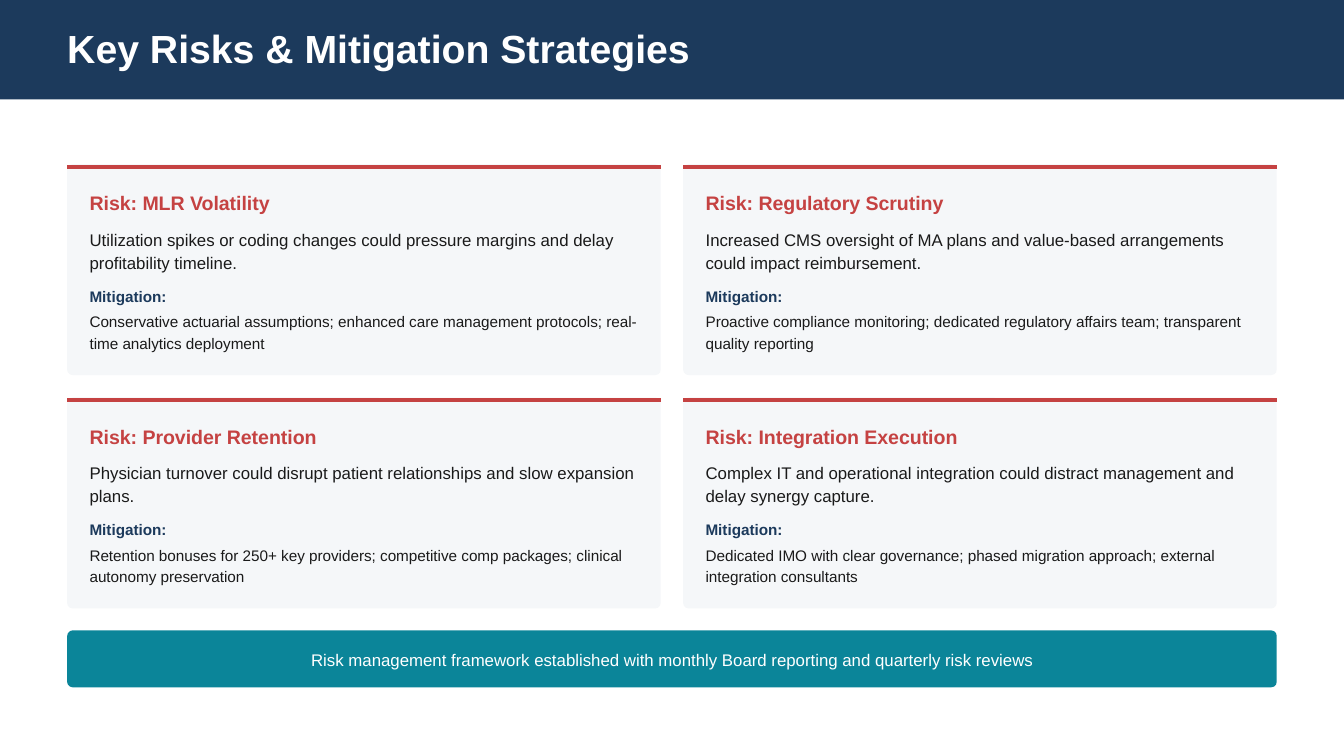
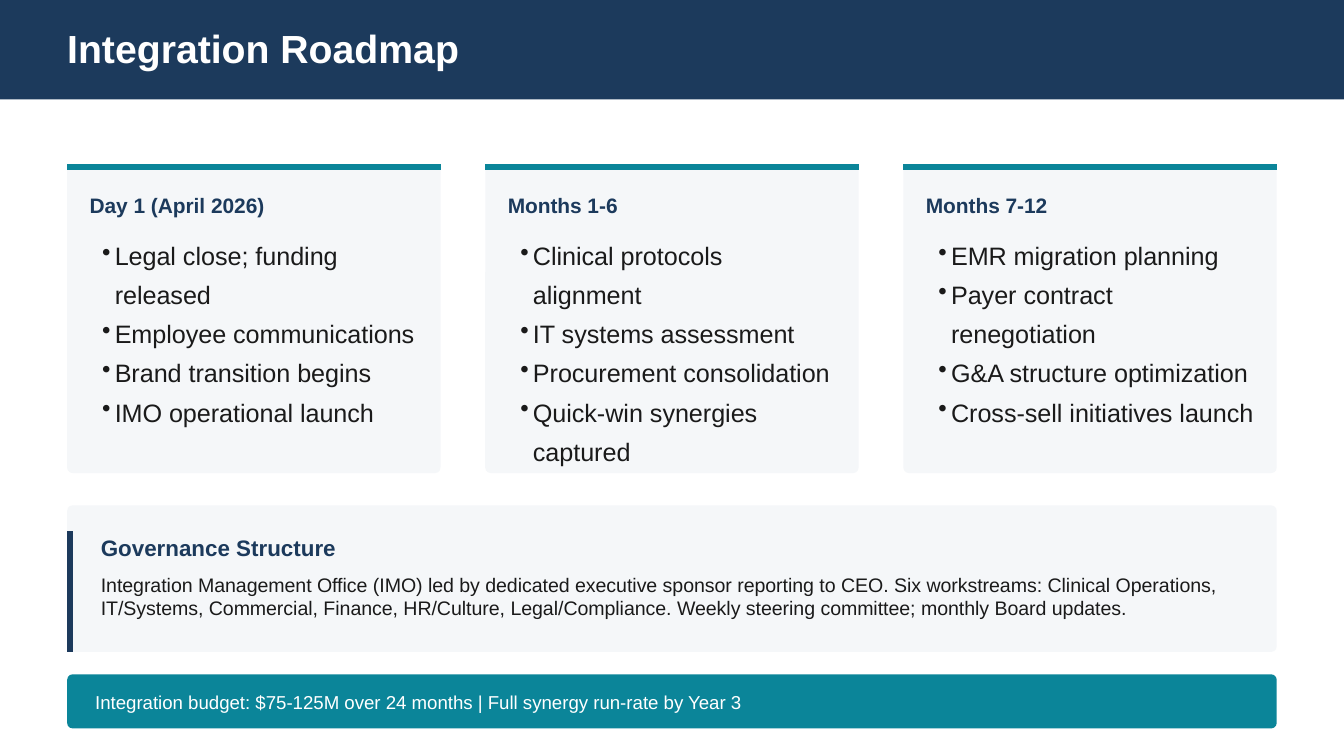
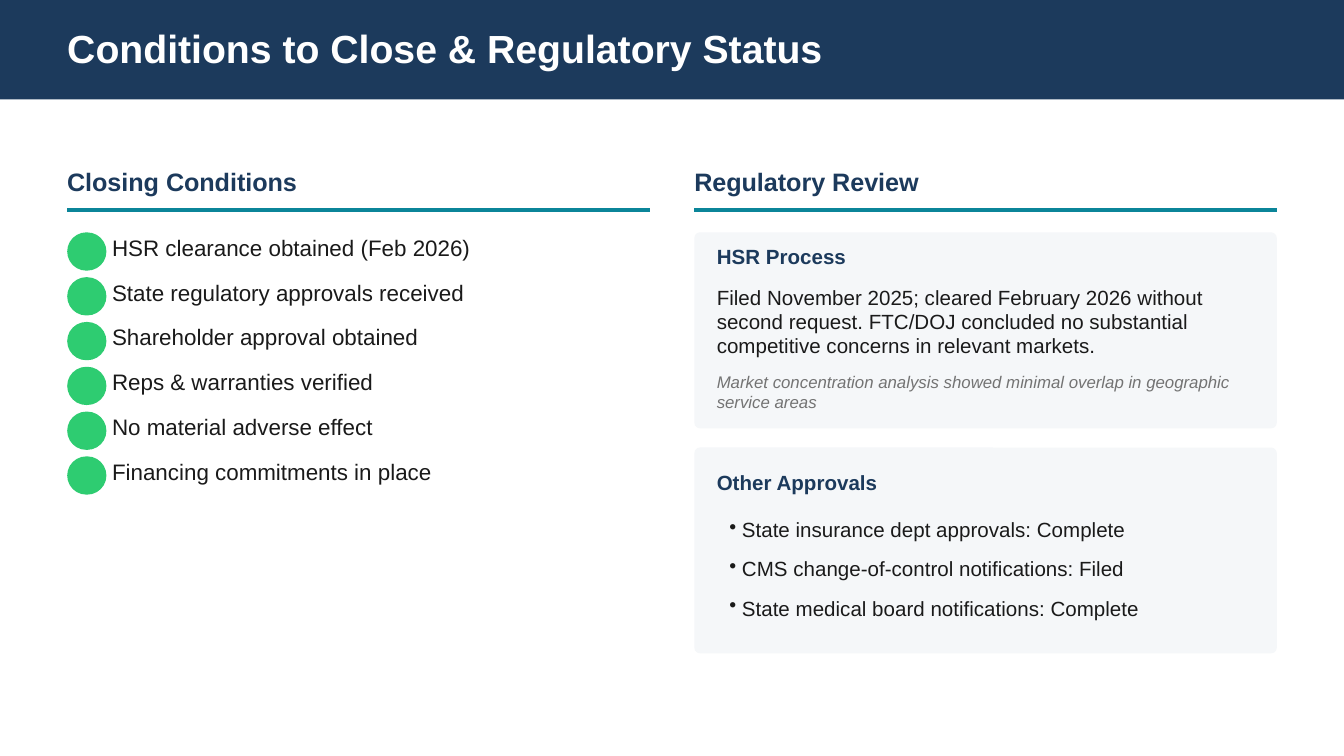
from dataclasses import dataclass

from lxml import etree
from pptx import Presentation
from pptx.dml.color import RGBColor
from pptx.enum import shapes, text
from pptx.oxml import ns
from pptx.util import Pt

COLORS = {
    "navy": "1C3A5C", "teal": "0B8599", "red": "C54242", "green": "2ECC71",
    "panel": "F5F7F9", "ink": "1A1A1A", "grey": "737373", "white": "FFFFFF",
}
FONT = "Arial"
MARGIN, CONTENT_WIDTH = 36, 648
CONTENT_TOP = 88
PADDING = 12
RADIUS = 3
BULLET_INDENT = 6.75


@dataclass(frozen=True)
class Style:
    size: float
    color: str = "ink"
    leading: float | None = None
    bold: bool = False
    italic: bool = False
    bullet: bool = False
    centered: bool = False


@dataclass(frozen=True)
class Area:
    left: float
    top: float
    width: float
    height: float

    def lengths(self) -> tuple:
        return Pt(self.left), Pt(self.top), Pt(self.width), Pt(self.height)


@dataclass(frozen=True)
class Risk:
    name: str
    threat: str
    mitigation: str


@dataclass(frozen=True)
class Phase:
    name: str
    steps: tuple[str, ...]


TITLE = Style(21, "white", 23.3, bold=True)
RISK_NAME = Style(10.5, "red", 12.6, bold=True)
RISK_THREAT = Style(9, leading=12.6)
MITIGATION_LABEL = Style(8.2, "navy", 11.6, bold=True)
MITIGATION = Style(8.2, leading=11.6)
PHASE_NAME = Style(11.2, "navy", 13.5, bold=True)
PHASE_STEPS = Style(13.5, leading=21, bullet=True)
GOVERNANCE_NAME = Style(12, "navy", 12.6, bold=True)
GOVERNANCE_BODY = Style(10.5, leading=12.6)
COLUMN_NAME = Style(13.5, "navy", 16.2, bold=True)
CONDITION = Style(12, leading=13.7)
REVIEW_NAME = Style(11, "navy", bold=True)
REVIEW_BODY = Style(11, leading=12.6)
REVIEW_NOTE = Style(9, "grey", 10.7, italic=True)
APPROVALS = Style(11, leading=21, bullet=True)

RISKS = (
    Risk("Risk: MLR Volatility",
         "Utilization spikes or coding changes could pressure margins and delay profitability timeline.",
         "Conservative actuarial assumptions; enhanced care management protocols; "
         "real-time analytics deployment"),
    Risk("Risk: Regulatory Scrutiny",
         "Increased CMS oversight of MA plans and value-based arrangements could impact reimbursement.",
         "Proactive compliance monitoring; dedicated regulatory affairs team; "
         "transparent quality reporting"),
    Risk("Risk: Provider Retention",
         "Physician turnover could disrupt patient relationships and slow expansion plans.",
         "Retention bonuses for 250+ key providers; competitive comp packages; "
         "clinical autonomy preservation"),
    Risk("Risk: Integration Execution",
         "Complex IT and operational integration could distract management and delay synergy capture.",
         "Dedicated IMO with clear governance; phased migration approach; "
         "external integration consultants"),
)
PHASES = (
    Phase("Day 1 (April 2026)",
          ("Legal close; funding released", "Employee communications",
           "Brand transition begins", "IMO operational launch")),
    Phase("Months 1-6",
          ("Clinical protocols alignment", "IT systems assessment",
           "Procurement consolidation", "Quick-win synergies captured")),
    Phase("Months 7-12",
          ("EMR migration planning", "Payer contract renegotiation",
           "G&A structure optimization", "Cross-sell initiatives launch")),
)
CONDITIONS = (
    "HSR clearance obtained (Feb 2026)", "State regulatory approvals received",
    "Shareholder approval obtained", "Reps & warranties verified",
    "No material adverse effect", "Financing commitments in place",
)


# Shared drawing
def rgb(name: str) -> RGBColor:
    return RGBColor.from_string(COLORS[name])


def add_bullet(para) -> None:
    props = para._p.get_or_add_pPr()
    props.set("marL", str(Pt(BULLET_INDENT)))
    props.set("indent", str(-Pt(BULLET_INDENT)))
    etree.SubElement(props, ns.qn("a:buChar")).set("char", "•")


def fill_text(box, style: Style, lines: tuple[str, ...]) -> None:
    frame = box.text_frame
    frame.word_wrap = True
    frame.auto_size = text.MSO_AUTO_SIZE.NONE
    frame.vertical_anchor = text.MSO_ANCHOR.TOP
    frame.margin_left = Pt(BULLET_INDENT if style.bullet else 0)
    frame.margin_top = frame.margin_right = frame.margin_bottom = 0
    frame.text = "\n".join(lines)
    for para in frame.paragraphs:
        if style.bullet:
            add_bullet(para)
        para.alignment = text.PP_ALIGN.CENTER if style.centered else text.PP_ALIGN.LEFT
        if style.leading:
            para.line_spacing = Pt(style.leading)
        for span in para.runs:
            font = span.font
            font.name, font.size = FONT, Pt(style.size)
            font.bold, font.italic = style.bold, style.italic
            font.color.rgb = rgb(style.color)


def add_text(page, style: Style, area: Area, *lines: str) -> None:
    fill_text(page.shapes.add_textbox(*area.lengths()), style, lines)


def add_block(page, color: str, area: Area, radius: float = RADIUS):
    kind = shapes.MSO_SHAPE.ROUNDED_RECTANGLE if radius else shapes.MSO_SHAPE.RECTANGLE
    block = page.shapes.add_shape(kind, *area.lengths())
    if radius:
        block.adjustments[0] = radius / min(area.width, area.height)
    block.fill.solid()
    block.fill.fore_color.rgb = rgb(color)
    block.line.fill.background()
    block.shadow.inherit = False
    return block


def add_rule(page, color: str, weight: float, start: tuple[float, float],
             end: tuple[float, float]) -> None:
    rule = page.shapes.add_connector(
        shapes.MSO_CONNECTOR.STRAIGHT, *(Pt(value) for value in start + end))
    rule.line.color.rgb = rgb(color)
    rule.line.width = Pt(weight)
    etree.SubElement(rule.element.spPr, ns.qn("a:effectLst"))


def add_card(page, area: Area, color: str, weight: float) -> None:
    """Panel with a coloured top edge."""
    add_block(page, "panel", area)
    edge = area.top + 1.5
    add_rule(page, color, weight, (area.left, edge), (area.left + area.width, edge))


def add_banner(page, top: float, height: float, style: Style, left: float, message: str) -> None:
    add_block(page, "teal", Area(MARGIN, top, CONTENT_WIDTH, height))
    add_text(page, style, Area(left, top + 8.5, 631, 12.6), message)


def add_page(deck, title: str, title_width: float):
    page = deck.slides.add_slide(deck.slide_layouts[5])
    heading = page.shapes.title
    heading.left, heading.top, heading.width, heading.height = Area(
        MARGIN, 15, title_width, 23.3).lengths()
    fill_text(heading, TITLE, (title,))
    band = add_block(page, "navy", Area(0, 0, 720, 53.25), radius=0)
    heading.element.addprevious(band.element)
    return page


# Slides
def build_risks(deck) -> None:
    page = add_page(deck, "Key Risks & Mitigation Strategies", 340)
    width, height, gap = 318, 113, 12
    for index, risk in enumerate(RISKS):
        row, column = divmod(index, 2)
        left = MARGIN + column * (width + gap)
        top = CONTENT_TOP + row * (height + gap)
        add_card(page, Area(left, top, width, height), "red", 2.25)
        for style, offset, depth, line in (
            (RISK_NAME, 14.4, 12.6, risk.name),
            (RISK_THREAT, 33, 25.2, risk.threat),
            (MITIGATION_LABEL, 64, 11.6, "Mitigation:"),
            (MITIGATION, 77.8, 23.2, risk.mitigation),
        ):
            add_text(page, style, Area(left + PADDING, top + offset, 300, depth), line)
    add_banner(page, 337.75, 30.5, Style(9, "white", 12.6, centered=True), 44.5,
               "Risk management framework established with monthly Board reporting "
               "and quarterly risk reviews")


def build_roadmap(deck) -> None:
    page = add_page(deck, "Integration Roadmap", 331)
    width, gap = 200, 24
    for index, phase in enumerate(PHASES):
        left = MARGIN + index * (width + gap)
        add_card(page, Area(left, CONTENT_TOP, width, 165.5), "teal", 3)
        add_text(page, PHASE_NAME, Area(left + PADDING, 103, 179, 13.5), phase.name)
        add_text(page, PHASE_STEPS, Area(left + PADDING, 123.75, 176, 135), *phase.steps)

    add_block(page, "panel", Area(MARGIN, 270.75, CONTENT_WIDTH, 78.5))
    add_rule(page, "navy", 3, (37.5, 284.5), (37.5, 349.25))
    add_text(page, GOVERNANCE_NAME, Area(54, 288, 627, 12.6), "Governance Structure")
    add_text(page, GOVERNANCE_BODY, Area(54, 306.75, 627, 25.2),
             "Integration Management Office (IMO) led by dedicated executive sponsor reporting "
             "to CEO. Six workstreams: Clinical Operations, IT/Systems, Commercial, Finance, "
             "HR/Culture, Legal/Compliance. Weekly steering committee; monthly Board updates.")
    add_banner(page, 361.25, 29, Style(10, "white", 12.6), 51,
               "Integration budget: $75-125M over 24 months | Full synergy run-rate by Year 3")


def build_conditions(deck) -> None:
    page = add_page(deck, "Conditions to Close & Regulatory Status", 413)
    width, gap = 312, 24
    right = MARGIN + width + gap
    body_top = 124.5
    for left, name in ((MARGIN, "Closing Conditions"), (right, "Regulatory Review")):
        add_rule(page, "teal", 2.25, (left, 112.5), (left + width, 112.5))
        add_text(page, COLUMN_NAME, Area(left, 89.25, 318, 16.2), name)

    # Met conditions
    for index, condition in enumerate(CONDITIONS):
        top = body_top + index * 24
        add_block(page, "green", Area(MARGIN, top, 21, 20.5), radius=10.25)
        add_text(page, CONDITION, Area(60, top + 1.5, 203, 16.5), condition)

    # Review panels
    inner = right + PADDING
    add_block(page, "panel", Area(right, body_top, width, 105))
    add_text(page, REVIEW_NAME, Area(inner, 130.5, 294, 11.5), "HSR Process")
    add_text(page, REVIEW_BODY, Area(inner, 153.5, 294, 37.8),
             "Filed November 2025; cleared February 2026 without second request. "
             "FTC/DOJ concluded no substantial competitive concerns in relevant markets.")
    add_text(page, REVIEW_NOTE, Area(inner, 199.5, 294, 21.5),
             "Market concentration analysis showed minimal overlap in geographic service areas")
    add_block(page, "panel", Area(right, 239.75, width, 110.25))
    add_text(page, REVIEW_NAME, Area(inner, 252, 294, 11.5), "Other Approvals")
    add_text(page, APPROVALS, Area(inner, 269.25, 288, 69),
             "State insurance dept approvals: Complete",
             "CMS change-of-control notifications: Filed",
             "State medical board notifications: Complete")


def main() -> None:
    deck = Presentation()
    deck.slide_width, deck.slide_height = Pt(720), Pt(405)
    build_risks(deck)
    build_roadmap(deck)
    build_conditions(deck)
    deck.save("out.pptx")


if __name__ == "__main__":
    main()
